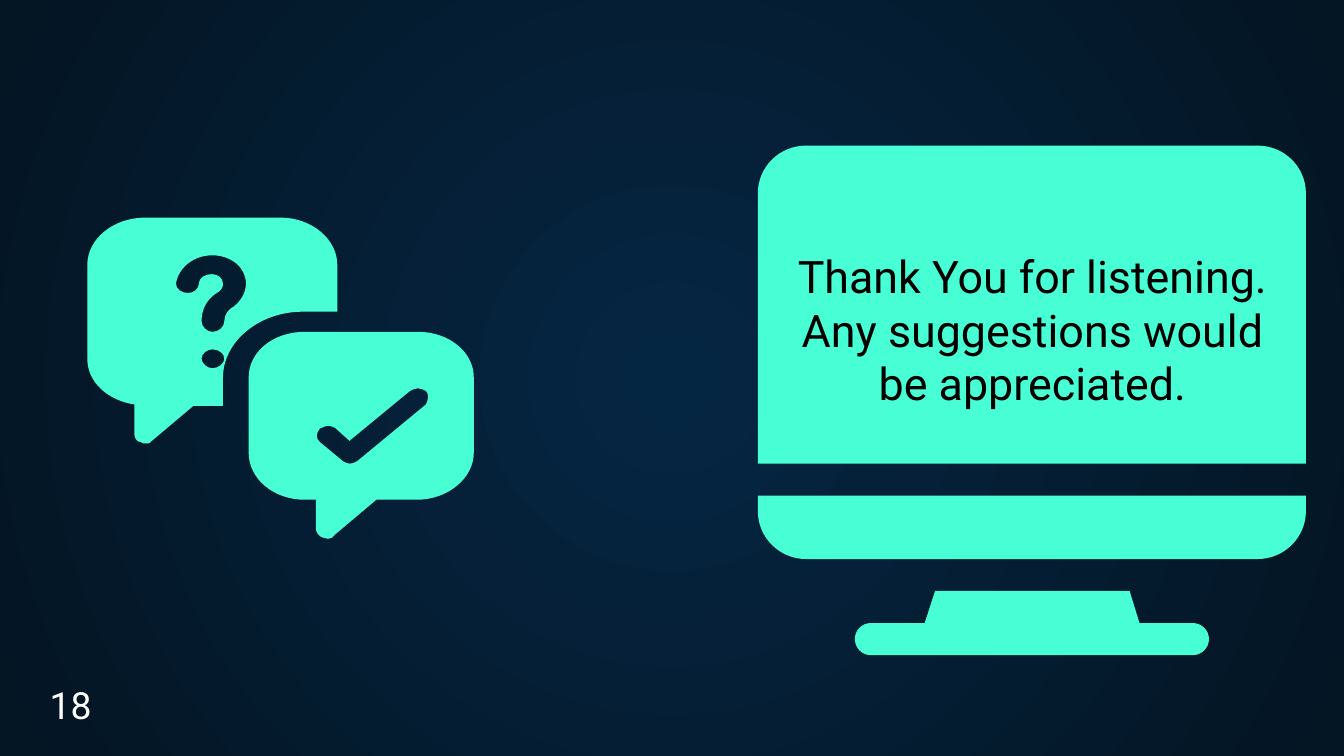
import lxml.etree
import pptx
import pptx.dml.color
import pptx.enum.text
import pptx.oxml
import pptx.oxml.ns
import pptx.util

Pt = pptx.util.Pt
RGB = pptx.dml.color.RGBColor.from_string
qn = pptx.oxml.ns.qn

THEME = {
    "glow": RGB("052643"),
    "night": RGB("041523"),
    "mint": RGB("48FFD5"),
    "black": RGB("000000"),
    "white": RGB("FFFFFF"),
    "font": "Roboto",
    "message_size": Pt(24),
    "number_size": Pt(20),
}


def draw_outline(shapes, contours):
    """Draw contours of line ends (x, y) and Bezier segments (x1, y1, x2, y2, x, y)."""
    builder = shapes.build_freeform(*map(Pt, contours[0][0]))
    for index, contour in enumerate(contours):
        if index:
            builder.move_to(*map(Pt, contour[0]))
        builder.add_line_segments(
            [tuple(map(Pt, segment[-2:])) for segment in contour[1:]], close=True)
    outline = builder.convert_to_shape()
    segments = [segment for contour in contours for segment in contour[1:]]
    for line, segment in zip(list(outline.element.iter(qn("a:lnTo"))), segments):
        if len(segment) == 6:
            curve = lxml.etree.Element(qn("a:cubicBezTo"))
            for x, y in zip(segment[::2], segment[1::2]):
                lxml.etree.SubElement(curve, qn("a:pt"), x=str(Pt(x) - outline.left),
                                      y=str(Pt(y) - outline.top))
            line.getparent().replace(line, curve)
    return outline


def write(frame, paragraphs, size, color, alignment):
    for index, words in enumerate(paragraphs):
        paragraph = frame.paragraphs[0] if index == 0 else frame.add_paragraph()
        paragraph.text = words
        paragraph.alignment = alignment
        paragraph.line_spacing = 1.0
        paragraph.space_before = Pt(0)
        formats = {"name": THEME["font"], "size": size, "bold": False}
        for attribute, value in formats.items():
            setattr(paragraph.font, attribute, value)
        paragraph.font.color.rgb = color


# Each part is a list of contours; the inner contours are cut out.
stand = [[
    (501, 316.6), (495.4, 333.8), (466.6, 333.8),
    (461.8, 333.8, 458, 337.6, 458, 342.4), (458, 347.1, 461.8, 351, 466.6, 351),
    (639, 351), (643.8, 351, 647.7, 347.1, 647.7, 342.4),
    (647.7, 337.6, 643.8, 333.8, 639, 333.8), (610.5, 333.8), (605.2, 316.6),
]]
chin = [[
    (406, 265.6), (406, 273.8), (406, 288, 417.6, 299.5, 431.8, 299.5),
    (673.8, 299.5), (688, 299.5, 699.6, 288, 699.6, 273.8), (699.6, 265.6),
]]
screen = [[
    (431.8, 78), (417.6, 78, 406, 89.4, 406, 103.6), (406, 248.4), (699.6, 248.4),
    (699.6, 103.6), (699.6, 89.4, 688, 78, 673.8, 78),
]]
check_mark = [
    (223.9, 208.1), (225.4, 208.1, 226.8, 208.8, 228.2, 209.5),
    (229.7, 211, 229.7, 213.8, 228.2, 216.7), (191.5, 247),
    (190.1, 247.7, 189.4, 248.4, 187.2, 248.4), (186.5, 248.4, 184.3, 247.7, 183.6, 247),
    (171.4, 236.9), (169.2, 235.4, 169.2, 231.8, 171.4, 229.7),
    (172.8, 229, 174.2, 228.2, 175.7, 228.2), (177.1, 228.2, 179.3, 229, 180, 229.7),
    (187.2, 236.2), (219.6, 209.5), (221, 208.8, 222.5, 208.1, 223.9, 208.1),
]
answer_bubble = [
    (163.4, 177.8), (146.2, 177.8, 133.2, 188.6, 133.2, 202.3), (133.2, 242.6),
    (133.2, 256.3, 146.2, 267.8, 163.4, 267.8), (169.2, 267.8), (169.2, 283),
    (169.2, 285.1, 170.6, 287.3, 172.8, 288), (173.5, 288, 175, 288.7, 175.7, 288.7),
    (177.1, 288.7, 178.6, 288, 179.3, 286.6), (201.6, 267.8), (223.2, 267.8),
    (239.8, 267.8, 253.8, 256.3, 253.8, 242.6), (253.8, 202.3),
    (253.8, 188.6, 240.5, 177.8, 223.9, 177.8),
]
question_hook = [
    (113.8, 136.8), (123.8, 136.8, 131.8, 143.3, 131.8, 151.9),
    (131.8, 157, 128.9, 161.3, 125.3, 164.2), (122.4, 165.6, 120.2, 168.5, 120.2, 172.1),
    (120.2, 175, 117.4, 177.8, 113.8, 177.8), (110.9, 177.8, 108, 175, 108, 172.1),
    (108, 165.6, 110.9, 159.8, 117.4, 156.2), (118.8, 154.8, 119.5, 154.1, 119.5, 151.9),
    (119.5, 149, 116.6, 146.9, 113.8, 146.9), (109.4, 146.9, 106.6, 149, 106.6, 151.9),
    (106.6, 154.8, 103.7, 157, 100.8, 157), (97.2, 157, 94.3, 154.8, 94.3, 151.9),
    (95.8, 143.3, 103.7, 136.8, 113.8, 136.8),
]
question_dot = [
    (113.8, 187.2), (117.4, 187.2, 120.2, 189.4, 120.2, 192.2),
    (120.2, 194.4, 117.4, 197.3, 113.8, 197.3), (110.9, 197.3, 108, 194.4, 108, 192.2),
    (108, 189.4, 110.9, 187.2, 113.8, 187.2),
]
question_bubble = [
    (77.8, 116.6), (60.5, 116.6, 46.8, 128.2, 46.8, 141.8), (46.8, 192.2),
    (46.8, 205.2, 58.3, 214.6, 72, 216.7), (72, 232.6),
    (72, 234.7, 73.4, 236.9, 75.6, 236.9), (76.3, 237.6, 77, 237.6, 78.5, 237.6),
    (79.9, 237.6, 80.6, 237.6, 81.4, 236.2), (103.7, 217.4), (119.5, 217.4),
    (119.5, 202.3), (119.5, 182.9, 139, 167, 162, 167), (180.7, 167), (180.7, 141.8),
    (180.7, 128.2, 167, 116.6, 150.5, 116.6),
]
monitor = [stand, chin, screen]
conversation = [
    [check_mark, answer_bubble],
    [question_hook, question_dot, question_bubble],
]

deck = pptx.Presentation()
deck.slide_width, deck.slide_height = Pt(720), Pt(405)
slide = deck.slides.add_slide(deck.slide_layouts[5])

backdrop = slide.background.fill
backdrop.gradient()
for stop, color, position in zip(backdrop.gradient_stops, ("glow", "night"), (0, 1)):
    stop.color.rgb = THEME[color]
    stop.position = position
gradient = slide.element.find(".//" + qn("a:gradFill"))
gradient.remove(gradient.find(qn("a:lin")))
radial = lxml.etree.SubElement(gradient, qn("a:path"), path="circle")
lxml.etree.SubElement(radial, qn("a:fillToRect"), dict.fromkeys("ltrb", "50000"))

message = slide.shapes.title
for icon, outlined in ((monitor, False), (conversation, True)):
    group = slide.shapes.add_group_shape()
    for part in icon:
        piece = draw_outline(group.shapes, part)
        piece.shadow.inherit = False
        piece.fill.solid()
        piece.fill.fore_color.rgb = THEME["mint"]
        if outlined:
            piece.line.color.rgb = THEME["black"]
            piece.line.width = Pt(0.75)
            ink = piece.element.find(".//" + qn("a:ln")).find(".//" + qn("a:srgbClr"))
            lxml.etree.SubElement(ink, qn("a:alpha"), val="0")
        else:
            piece.line.fill.background()
    if icon is monitor:
        group.element.addnext(message.element)  # in front of the screen

number = slide.shapes.add_textbox(Pt(19.5), Pt(362), Pt(38), Pt(31.5))
placement = {"left": Pt(417.4), "top": Pt(129.6), "width": Pt(271.4), "height": Pt(94.3)}
for attribute, value in placement.items():
    setattr(message, attribute, value)
for box, wrap in ((message, True), (number, False)):
    frame_format = {
        "word_wrap": wrap,
        "auto_size": pptx.enum.text.MSO_AUTO_SIZE.SHAPE_TO_FIT_TEXT,
        "vertical_anchor": pptx.enum.text.MSO_ANCHOR.TOP,
    }
    for attribute, value in frame_format.items():
        setattr(box.text_frame, attribute, value)
write(message.text_frame,
      ["Thank You for listening.", "Any suggestions would be appreciated."],
      THEME["message_size"], THEME["black"], pptx.enum.text.PP_ALIGN.CENTER)
write(number.text_frame, ["18"],
      THEME["number_size"], THEME["white"], pptx.enum.text.PP_ALIGN.LEFT)

deck.save("out.pptx")
